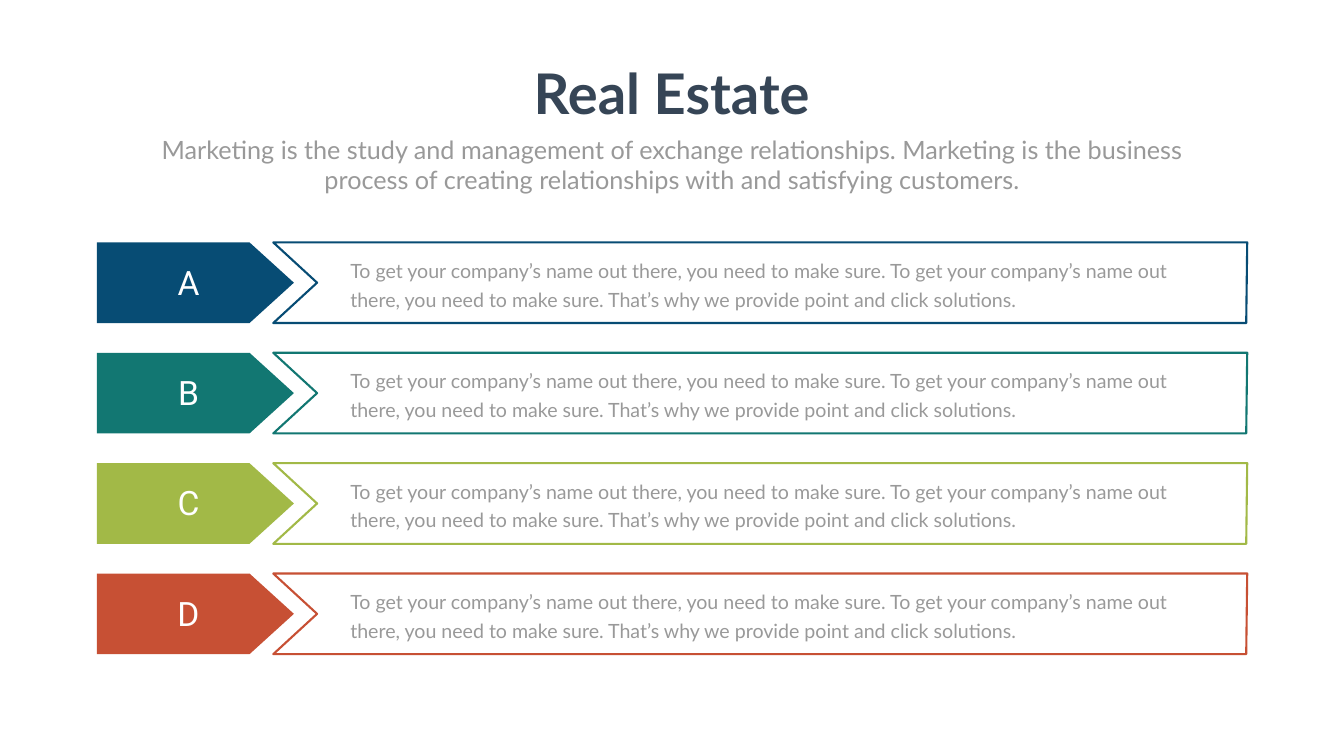
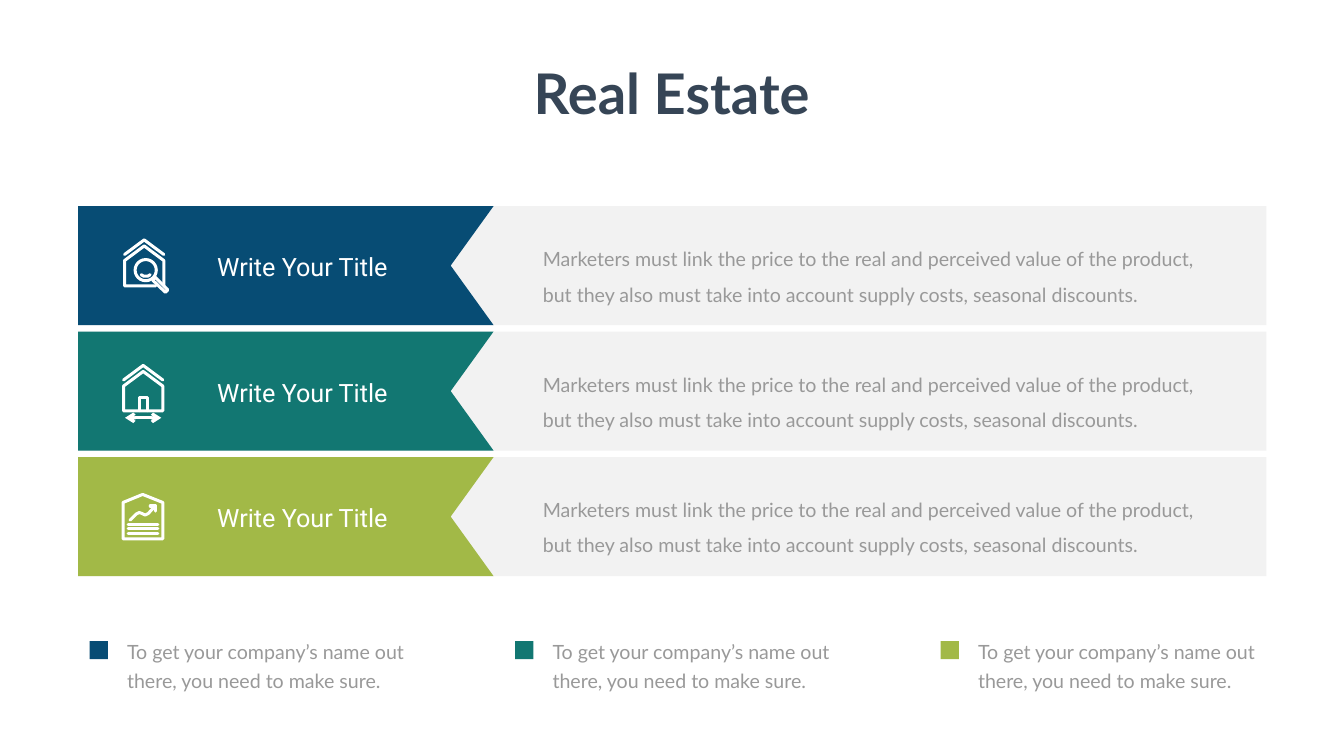
from dataclasses import dataclass, field

from lxml import etree
from pptx import Presentation
from pptx.dml.color import RGBColor as Rgb
from pptx.enum.shapes import MSO_CONNECTOR as Connector, MSO_SHAPE as Shape
from pptx.enum.text import MSO_ANCHOR as Anchor, MSO_AUTO_SIZE as AutoSize, PP_ALIGN as Align
from pptx.oxml.ns import qn
from pptx.util import Inches, Pt


@dataclass(frozen=True)
class TextStyle:
    color: str
    font: dict
    para: dict = field(default_factory=dict)
    frame: dict = field(default_factory=dict)


@dataclass(frozen=True)
class Theme:
    white: str = "FFFFFF"
    panel: str = "F2F2F2"
    accents: tuple = ("074C74", "127772", "A2B947", "C75034")
    outline: float = 3
    icon_line: float = 4.3
    title: TextStyle = TextStyle(
        "364556", {"name": "Lato", "size": Pt(80), "bold": True},
        {"alignment": Align.CENTER}, {"word_wrap": False})
    subtitle: TextStyle = TextStyle(
        "999999", {"name": "Lato", "size": Pt(36)}, {"alignment": Align.CENTER})
    body: TextStyle = TextStyle(
        "999999", {"name": "Lato", "size": Pt(28)}, {"line_spacing": Pt(40.8)})
    legend: TextStyle = TextStyle(
        "999999", {"name": "Lato", "size": Pt(28)}, {"line_spacing": Pt(40.8)},
        {"margin_left": Inches(0.24), "margin_right": Inches(0.24),
         "margin_top": Inches(0.12), "margin_bottom": Inches(0.12)})
    card_body: TextStyle = TextStyle(
        "999999", {"name": "Lato", "size": Pt(28)}, {"line_spacing": 1.5})
    card_title: TextStyle = TextStyle("FFFFFF", {"name": "Roboto", "size": Pt(36)})
    letter: TextStyle = TextStyle(
        "FFFFFF", {"name": "Roboto", "size": Pt(48)}, {"alignment": Align.CENTER})


THEME = Theme()
TITLE = "Real Estate"
SUBTITLE = ("Marketing is the study and management of exchange relationships. "
            "Marketing is the business process of creating relationships with "
            "and satisfying customers.")
ROW_TEXT = ("To get your company’s name out there, you need to make sure. "
            "To get your company’s name out there, you need to make sure. "
            "That’s why we provide point and click solutions.")
CARD_TITLE = "Write Your Title"
CARD_TEXT = ("Marketers must link the price to the real and perceived value of the "
             "product, but they also must take into account supply costs, "
             "seasonal discounts.")
LEGEND_TEXT = "To get your company’s name out there, you need to make sure."


def inches(*values):
    return [Inches(value) for value in values]


def set_all(target, values):
    for name, value in values.items():
        setattr(target, name, value)


def write(box, text, style):
    frame = box.text_frame
    set_all(frame, {"word_wrap": True, "vertical_anchor": Anchor.TOP,
                    "auto_size": AutoSize.SHAPE_TO_FIT_TEXT, **style.frame})
    para = frame.paragraphs[0]
    set_all(para, {"space_before": Pt(0), **style.para})
    span = para.add_run()
    span.text = text
    set_all(span.font, style.font)
    span.font.color.rgb = Rgb.from_string(style.color)


def add_text(page, text, style, left, top, width, height):
    box = page.shapes.add_textbox(*inches(left, top, width, height))
    write(box, text, style)


def fill_placeholder(box, text, style, left, top, width, height):
    places = inches(left, top, width, height)
    set_all(box, dict(zip(("left", "top", "width", "height"), places)))
    format_node = box.text_frame.paragraphs[0]._p.get_or_add_pPr()
    format_node.set("marL", "0")
    format_node.set("indent", "0")
    etree.SubElement(format_node, qn("a:buNone"))
    write(box, text, style)


def add_page(deck, layout):
    page = deck.slides.add_slide(deck.slide_layouts[layout])
    fill_placeholder(page.shapes.title, TITLE, THEME.title, 10.41, 1.12, 5.83, 1.45)
    return page


def paint(shape, fill=None, line=None, weight=0):
    shape.shadow.inherit = False
    if fill:
        shape.fill.solid()
        shape.fill.fore_color.rgb = Rgb.from_string(fill)
    else:
        shape.fill.background()
    if line:
        shape.line.color.rgb = Rgb.from_string(line)
        shape.line.width = Pt(weight)
    else:
        shape.line.fill.background()


def add_shape(shapes, kind, left, top, width, height, **colors):
    shape = shapes.add_shape(kind, *inches(left, top, width, height))
    paint(shape, **colors)
    return shape


def add_outline(shapes, points, close=True, **colors):
    start, *rest = [inches(*point) for point in points]
    builder = shapes.build_freeform(*start)
    builder.add_line_segments(rest, close=close)
    shape = builder.convert_to_shape()
    paint(shape, **colors)
    return shape


def round_ends(shape):
    line_node = shape.get_or_add_ln()
    line_node.set("cap", "rnd")
    etree.SubElement(line_node, qn("a:round"))
    return line_node


def add_stroke(shapes, top, points, close=False):
    placed = [(x, top + y) for x, y in points]
    shape = add_outline(shapes, placed, close, line=THEME.white, weight=THEME.icon_line)
    round_ends(shape)


def add_rule(shapes, left, right, y, arrows=False):
    rule = shapes.add_connector(Connector.STRAIGHT, *inches(left, y, right, y))
    rule.line.color.rgb = Rgb.from_string(THEME.white)
    rule.line.width = Pt(THEME.icon_line)
    line_node = round_ends(rule)
    if arrows:
        for end in ("a:headEnd", "a:tailEnd"):
            etree.SubElement(line_node, qn(end), type="arrow")
    etree.SubElement(rule._element.spPr, qn("a:effectLst"))


def add_roof(shapes, top, middle):
    add_stroke(shapes, top, [(middle - 0.39, 0.96), (middle, 0.67), (middle + 0.39, 0.96)])


def draw_search_house(shapes, top):
    add_roof(shapes, top, 2.86)
    add_stroke(shapes, top, [(3.09, 1.58), (2.47, 1.58), (2.47, 1.08), (2.86, 0.79),
                             (3.25, 1.08), (3.25, 1.58)])
    add_shape(shapes, Shape.OVAL, 2.68, top + 1.06, 0.42, 0.42,
              line=THEME.white, weight=THEME.icon_line)
    add_stroke(shapes, top, [(2.8, 1.36), (2.85, 1.39), (2.93, 1.39), (2.98, 1.36)])
    add_stroke(shapes, top, [(3.08, 1.41), (3.33, 1.66), (3.28, 1.71), (3.03, 1.47)], True)


def draw_measured_house(shapes, top):
    add_roof(shapes, top, 2.84)
    add_stroke(shapes, top, [(2.45, 1.57), (2.45, 1.08), (2.84, 0.79),
                             (3.23, 1.08), (3.23, 1.57)], True)
    add_stroke(shapes, top, [(2.77, 1.57), (2.77, 1.31), (2.92, 1.31), (2.92, 1.57)])
    add_rule(shapes, 2.48, 3.2, top + 1.71, arrows=True)


def draw_growth_house(shapes, top):
    add_stroke(shapes, top, [(2.44, 1.62), (2.44, 0.9), (2.83, 0.74),
                             (3.23, 0.9), (3.23, 1.62)], True)
    add_stroke(shapes, top, [(2.58, 1.25), (2.7, 1.13), (2.76, 1.1), (2.82, 1.12),
                             (2.88, 1.15), (2.94, 1.12), (3.07, 0.98)])
    add_stroke(shapes, top, [(2.98, 0.97), (3.09, 0.97), (3.09, 1.07)])
    for y in (1.34, 1.42, 1.51):
        add_rule(shapes, 2.54, 3.13, top + y)


def add_letter_row(page, letter, color, top):
    tag = add_shape(page.shapes, Shape.PENTAGON, 1.92, top, 3.91, 1.6, fill=color)
    tag.adjustments[0] = 0.55
    bottom = top + 1.6
    add_outline(page.shapes,
                [(5.42, top), (24.74, top), (24.72, bottom), (5.42, bottom),
                 (6.29, top + 0.8)],
                fill=THEME.white, line=color, weight=THEME.outline)
    add_text(page, ROW_TEXT, THEME.body, 6.85, top + 0.18, 16.55, 1.19)
    add_text(page, letter, THEME.letter, 2.91, top + 0.33, 1.66, 0.91)


def add_card(page, draw_icon, color, top):
    bottom = top + 2.36
    add_shape(page.shapes, Shape.RECTANGLE, 1.55, top, 23.57, 2.36, fill=THEME.panel)
    add_outline(page.shapes,
                [(1.55, top), (9.79, top), (8.94, top + 1.18), (9.79, bottom),
                 (1.55, bottom)], fill=color)
    add_text(page, CARD_TEXT, THEME.card_body, 10.67, top + 0.53, 13.57, 1.42)
    add_text(page, CARD_TITLE, THEME.card_title, 4.21, top + 0.85, 4.02, 0.71)
    draw_icon(page.shapes.add_group_shape().shapes, top)


def add_legend(page, color, left):
    add_shape(page.shapes, Shape.RECTANGLE, left, 12.72, 0.36, 0.36, fill=color)
    add_text(page, LEGEND_TEXT, THEME.legend, left + 0.5, 12.48, 6.19, 1.33)


def build_letter_page(deck):
    page = add_page(deck, 1)
    fill_placeholder(page.placeholders[1], SUBTITLE, THEME.subtitle,
                     2.92, 2.61, 20.82, 1.31)
    for index, (letter, color) in enumerate(zip("ABCD", THEME.accents)):
        add_letter_row(page, letter, color, 4.81 + 2.19 * index)


def build_card_page(deck):
    page = add_page(deck, 5)
    icons = (draw_search_house, draw_measured_house, draw_growth_house)
    for index, (draw_icon, color) in enumerate(zip(icons, THEME.accents)):
        add_card(page, draw_icon, color, 4.09 + 2.49 * index)
        add_legend(page, color, 1.78 + 8.44 * index)


def main():
    deck = Presentation()
    set_all(deck, {"slide_width": Inches(26.66), "slide_height": Inches(15)})
    build_letter_page(deck)
    build_card_page(deck)
    deck.save("out.pptx")


if __name__ == "__main__":
    main()
